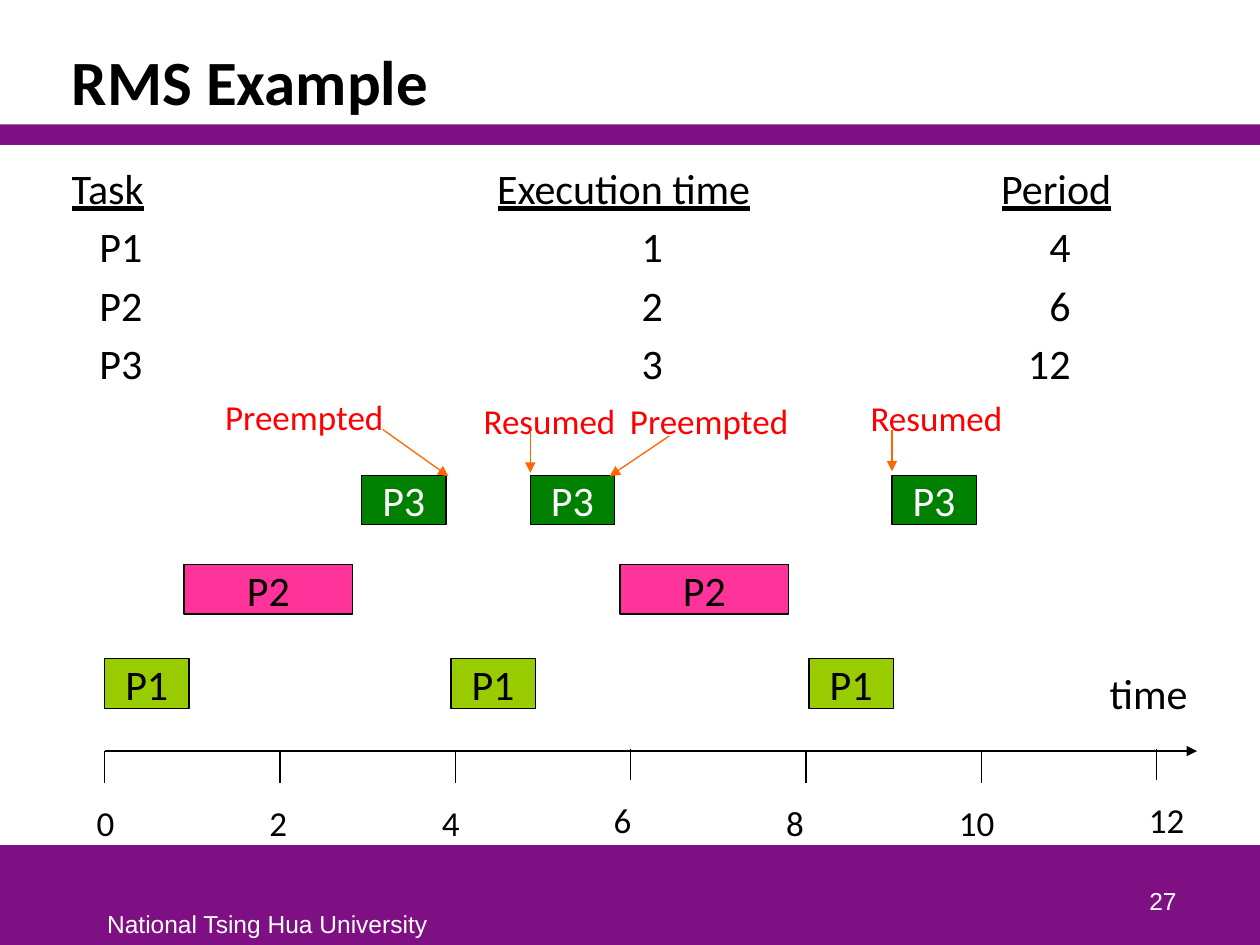
from dataclasses import dataclass

from lxml import etree
from pptx import Presentation
from pptx.dml.color import RGBColor
from pptx.enum.shapes import MSO_CONNECTOR, MSO_SHAPE
from pptx.enum.text import MSO_ANCHOR, PP_ALIGN
from pptx.oxml.ns import qn
from pptx.util import Cm, Pt

RECTANGLE = MSO_SHAPE.RECTANGLE
STRAIGHT = MSO_CONNECTOR.STRAIGHT
LEFT, CENTER, RIGHT = PP_ALIGN.LEFT, PP_ALIGN.CENTER, PP_ALIGN.RIGHT
TOP, MIDDLE, BOTTOM = MSO_ANCHOR.TOP, MSO_ANCHOR.MIDDLE, MSO_ANCHOR.BOTTOM
TITLE_ONLY = 5


@dataclass(frozen=True)
class Theme:
    font: str = "Calibri"
    footer_font: str = "Arial"
    title_size: int = 36
    body_size: int = 24
    label_size: int = 20
    footer_size: int = 14
    line_width: float = 0.75
    black: str = "000000"
    white: str = "FFFFFF"
    band: str = "7F1084"
    note: str = "FF0000"
    arrow: str = "FF6600"
    task1: str = "99CC00"
    task2: str = "FF3399"
    task3: str = "008000"


class SlideBuilder:
    """Draws styled elements on one slide; all lengths are in centimetres."""

    def __init__(self, slide, theme):
        self.slide = slide
        self.theme = theme

    def format_text(self, text_frame, size, color=None, align=LEFT, font=None, bold=False):
        for paragraph in text_frame.paragraphs:
            paragraph.alignment = align
            for run in paragraph.runs:
                run.font.name = font or self.theme.font
                run.font.size = Pt(size)
                run.font.bold = bold
                run.font.color.rgb = RGBColor.from_string(color or self.theme.black)

    def title(self, text, left, top, width, height):
        shape = self.slide.shapes.title
        shape.left, shape.top = Cm(left), Cm(top)
        shape.width, shape.height = Cm(width), Cm(height)
        shape.text_frame.text = text
        shape.text_frame.vertical_anchor = BOTTOM
        shape.text_frame.paragraphs[0].line_spacing = 0.85
        self.format_text(shape.text_frame, self.theme.title_size, bold=True)

    def rectangle(self, left, top, width, height, fill):
        shape = self.slide.shapes.add_shape(
            RECTANGLE, Cm(left), Cm(top), Cm(width), Cm(height))
        shape.shadow.inherit = False
        shape.fill.solid()
        shape.fill.fore_color.rgb = RGBColor.from_string(fill)
        shape.line.fill.background()
        return shape

    def task_bar(self, text, left, top, width, height, fill, color):
        shape = self.rectangle(left, top, width, height, fill)
        shape.line.color.rgb = RGBColor.from_string(self.theme.black)
        shape.line.width = Pt(self.theme.line_width)
        shape.text_frame.text = text
        shape.text_frame.word_wrap = False
        shape.text_frame.vertical_anchor = MIDDLE
        self.format_text(shape.text_frame, self.theme.body_size, color, CENTER)

    def text(self, text, left, top, width, height, size, color=None,
             align=LEFT, anchor=TOP, font=None, shapes=None):
        box = (shapes or self.slide.shapes).add_textbox(
            Cm(left), Cm(top), Cm(width), Cm(height))
        box.text_frame.text = text
        box.text_frame.word_wrap = align == RIGHT
        box.text_frame.vertical_anchor = anchor
        self.format_text(box.text_frame, size, color, align, font)

    def line(self, start, end, color, arrow=False, shapes=None):
        connector = (shapes or self.slide.shapes).add_connector(
            STRAIGHT, *(Cm(value) for value in (*start, *end)))
        connector.line.color.rgb = RGBColor.from_string(color)
        connector.line.width = Pt(self.theme.line_width)
        properties = connector._element.spPr
        if arrow:
            outline = properties.find(qn("a:ln"))
            etree.SubElement(outline, qn("a:tailEnd"), type="triangle")
        etree.SubElement(properties, qn("a:effectLst"))

    def annotation(self, text, left, top, width, start, end):
        shapes = self.slide.shapes.add_group_shape().shapes
        self.text(text, left, top, width, 1.12, self.theme.label_size,
                  self.theme.note, shapes=shapes)
        self.line(start, end, self.theme.arrow, arrow=True, shapes=shapes)

    def table(self, rows, left, top, widths, row_height, value_margins):
        table = self.slide.shapes.add_table(
            len(rows), len(widths), Cm(left), Cm(top),
            Cm(sum(widths)), Cm(row_height * len(rows))).table
        table.first_row = table.horz_banding = False
        for column, width in zip(table.columns, widths):
            column.width = Cm(width)
        for row_index, row in enumerate(rows):
            table.rows[row_index].height = Cm(row_height)
            is_header = row_index == 0
            for column_index, text in enumerate(row):
                cell = table.cell(row_index, column_index)
                cell.fill.background()
                cell.margin_left = cell.margin_top = cell.margin_bottom = 0
                cell.margin_right = 0 if is_header else Cm(value_margins[column_index])
                cell.vertical_anchor = MIDDLE
                cell.text_frame.text = text
                self.format_text(cell.text_frame, self.theme.body_size,
                                 align=LEFT if is_header else RIGHT)
                cell.text_frame.paragraphs[0].runs[0].font.underline = is_header


def main():
    presentation = Presentation()
    presentation.slide_width, presentation.slide_height = Cm(25.4), Cm(19.05)
    slide = presentation.slides.add_slide(presentation.slide_layouts[TITLE_ONLY])
    theme = Theme()
    builder = SlideBuilder(slide, theme)

    # Bands, title and footer
    builder.rectangle(0, 17.04, 25.4, 2.01, theme.band)
    builder.rectangle(0, 2.51, 25.4, 0.41, theme.band)
    builder.title("RMS Example", 1.19, 0.64, 23.11, 1.88)
    builder.text("National Tsing Hua University", 1.91, 18.21, 7.01, 0.84,
                 theme.footer_size, theme.white, font=theme.footer_font)
    builder.text("27", 18.69, 17.3, 5.28, 1.27, theme.footer_size, theme.white,
                 RIGHT, BOTTOM, theme.footer_font)

    # Task parameters
    rows = [("Task", "Execution time", "Period"),
            ("P1", "1", "4"), ("P2", "2", "6"), ("P3", "3", "12")]
    builder.table(rows, 1.43, 3.24, (8.59, 10.16, 3.82), 1.18, (7.15, 6.82, 2.42))

    # Time axis; the marks at 6 and 12 sit slightly higher
    axis_left, axis_top = 2.11, 15.14
    builder.line((axis_left, axis_top), (24.13, axis_top), theme.black, arrow=True)
    builder.text("time", 22.12, 13.34, 2.11, 1.27, theme.body_size)
    label_lefts = (1.7, 5.18, 8.66, 12.12, 15.6, 19.08, 22.91)
    for index, label_left in enumerate(label_lefts):
        time = 2 * index
        lift = 0.05 if time in (6, 12) else 0
        x, y = axis_left + 3.535 * index, axis_top - lift
        builder.line((x, y), (x, y + 0.64), theme.black)
        builder.text(str(time), label_left, 16.03 - lift,
                     0.86 if time < 10 else 1.24, 1.12, theme.label_size)

    # Scheduled runs: task, top, duration, fill, text colour, left edges
    unit_width = 1.7
    schedule = [
        ("P1", 13.28, 1, theme.task1, theme.black, (2.11, 9.09, 16.31)),
        ("P2", 11.38, 2, theme.task2, theme.black, (3.71, 12.5)),
        ("P3", 9.58, 1, theme.task3, theme.white, (7.29, 10.69, 17.98)),
    ]
    for task, top, duration, fill, color, lefts in schedule:
        for left in lefts:
            builder.task_bar(task, left, top, duration * unit_width, 1, fill, color)

    # Notes on preemption
    builder.annotation("Preempted", 4.29, 7.85, 3.73, (7.72, 8.66), (9.04, 9.6))
    builder.annotation("Resumed", 9.5, 7.92, 3.2, (10.69, 8.69), (10.69, 9.53))
    builder.annotation("Preempted", 12.45, 7.92, 3.73, (13.49, 8.79), (12.29, 9.6))
    builder.annotation("Resumed", 17.3, 7.87, 3.2, (17.98, 8.66), (17.98, 9.5))

    presentation.save("out.pptx")


if __name__ == "__main__":
    main()
